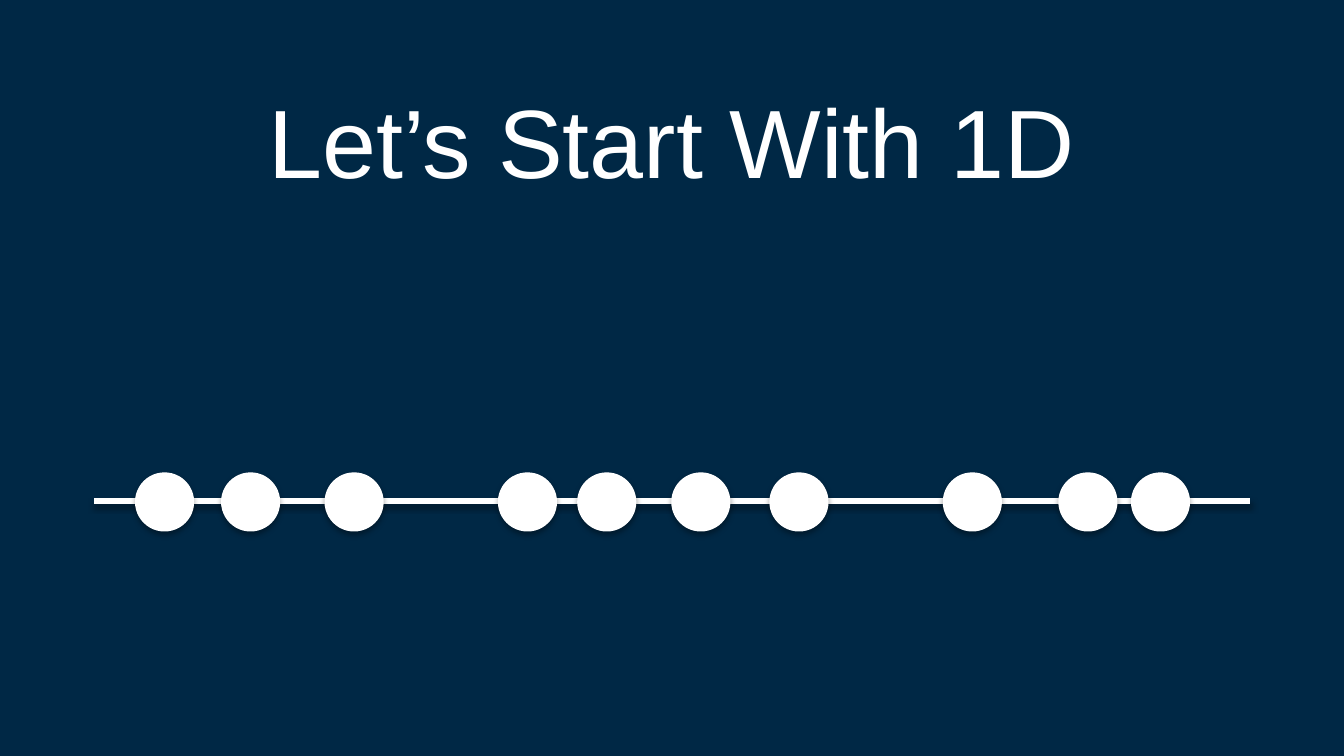
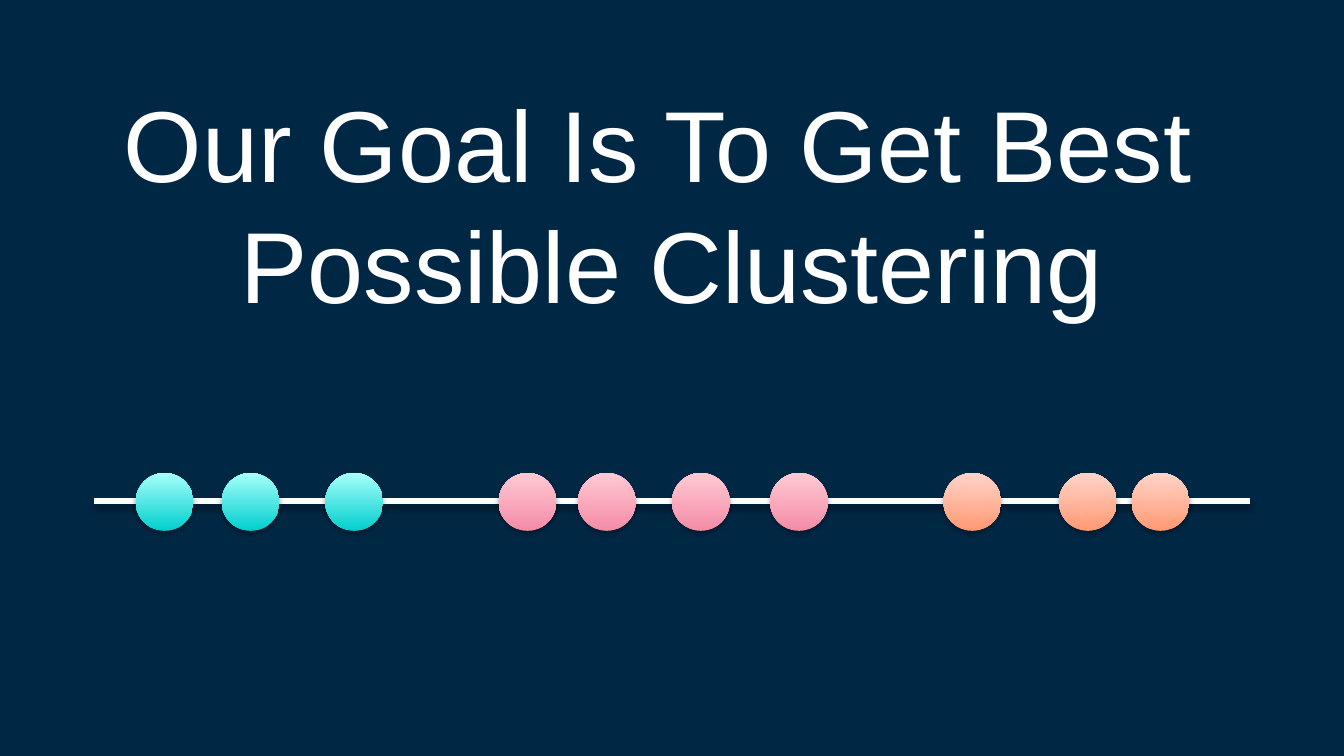
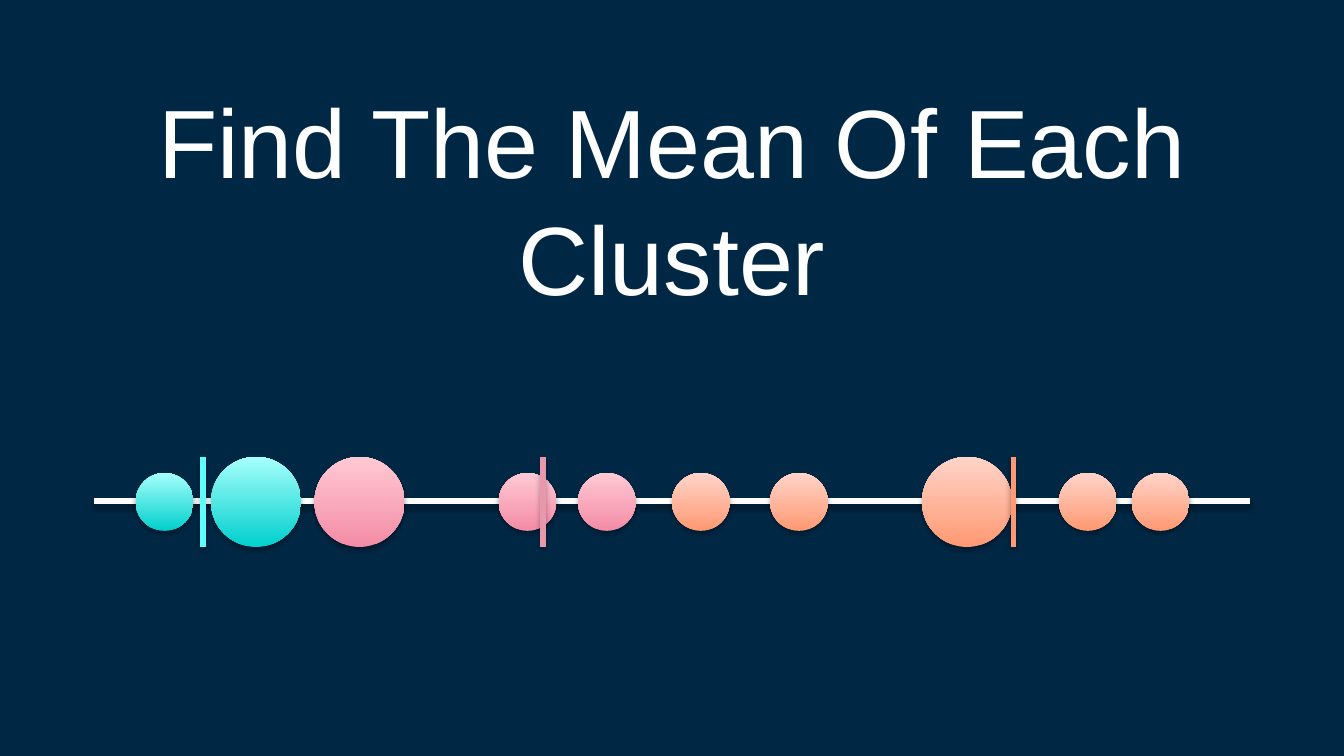
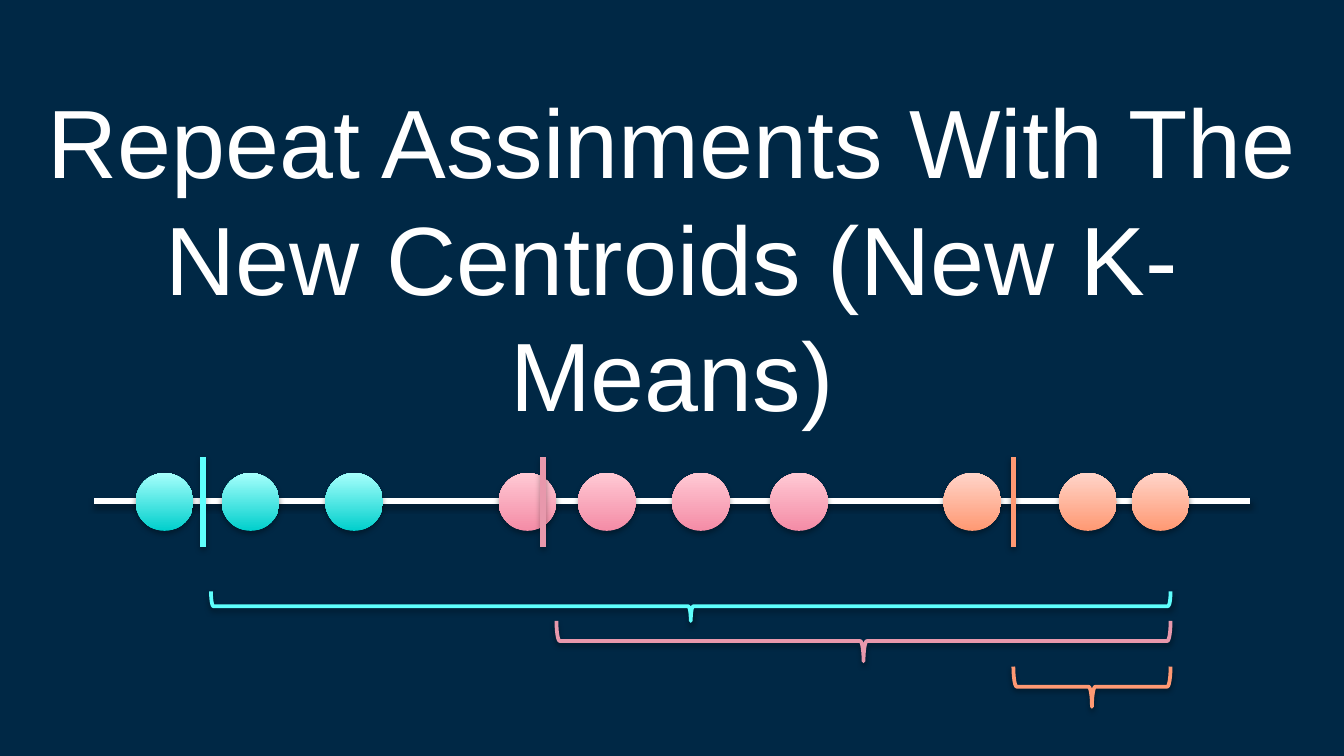
from dataclasses import dataclass

import lxml.etree
import pptx
import pptx.dml.color
import pptx.enum.shapes
import pptx.enum.text
import pptx.oxml.ns
import pptx.util

Inches = pptx.util.Inches
Pt = pptx.util.Pt
SHAPE = pptx.enum.shapes.MSO_SHAPE
qn = pptx.oxml.ns.qn


@dataclass(frozen=True)
class Cluster:
    dark: str
    light: str
    accent: str


@dataclass(frozen=True)
class Theme:
    background: str = "002845"
    white: str = "FFFFFF"
    shadow: str = "000000"
    font: str = "Arial"
    title_size: int = 52
    large_title_size: int = 54
    dot_outline: float = 0.75
    line_width: int = 3
    brace_width: int = 2
    teal: Cluster = Cluster("00CFCC", "A6FFFC", "5EFFFD")
    pink: Cluster = Cluster("F48CA6", "FFC9D4", "E898AC")
    orange: Cluster = Cluster("FF9973", "FFD4C9", "FF9973")


THEME = Theme()
TEAL, PINK, ORANGE = THEME.teal, THEME.pink, THEME.orange
DOT_LEFTS = [1.01, 1.65, 2.42, 3.71, 4.3, 5, 5.73, 7.02, 7.88, 8.42]
DOT_SIZE, BIG_DOT_SIZE = 0.43, 0.67
AXIS_Y, DOT_TOP, MEAN_TOP, MEAN_BOTTOM = 3.73, 3.52, 3.4, 4.07
MEANS = [(1.51, TEAL), (4.04, PINK), (7.54, ORANGE)]
BEST_CLUSTERS = [TEAL] * 3 + [PINK] * 4 + [ORANGE] * 3
FIRST_CLUSTERS = [TEAL] * 2 + [PINK] * 3 + [ORANGE] * 5
BRACE_RIGHT = 8.71


def rgb(value):
    return pptx.dml.color.RGBColor.from_string(value)


class Deck:
    def __init__(self, theme):
        self.theme = theme
        self.prs = pptx.Presentation()
        self.prs.slide_width = Inches(10)
        self.prs.slide_height = Inches(10) * 9 // 16
        self.s = None

    def slide(self, title, height, size=None):
        self.s = self.prs.slides.add_slide(self.prs.slide_layouts[6])
        fill = self.s.background.fill
        fill.solid()
        fill.fore_color.rgb = rgb(self.theme.background)
        self.title(title, height, size or self.theme.title_size)
        self.line(0.7, AXIS_Y, 9.3, AXIS_Y, self.theme.white)

    def title(self, text, height, size):
        sp = self.s.shapes.add_textbox(0, Inches(0.56), Inches(10), Inches(height))
        tf = sp.text_frame
        tf.word_wrap = True
        tf.auto_size = pptx.enum.text.MSO_AUTO_SIZE.SHAPE_TO_FIT_TEXT
        p = tf.paragraphs[0]
        p.text = text
        p.alignment = pptx.enum.text.PP_ALIGN.CENTER
        p.font.name = self.theme.font
        p.font.size = Pt(size)
        p.font.color.rgb = rgb(self.theme.white)

    def shadow(self, sp, opacity=35, distance=1.8):
        props = sp.element.spPr
        effects = lxml.etree.SubElement(props, qn("a:effectLst"))
        outer = lxml.etree.SubElement(
            effects, qn("a:outerShdw"), blurRad=str(Pt(3.1)),
            dist=str(Pt(distance)), dir="5400000", rotWithShape="0")
        color = lxml.etree.SubElement(outer, qn("a:srgbClr"), val=self.theme.shadow)
        lxml.etree.SubElement(color, qn("a:alpha"), val=str(opacity * 1000))

    def line(self, x1, y1, x2, y2, color):
        cxn = self.s.shapes.add_connector(
            pptx.enum.shapes.MSO_CONNECTOR.STRAIGHT,
            Inches(x1), Inches(y1), Inches(x2), Inches(y2))
        cxn.line.color.rgb = rgb(color)
        cxn.line.width = Pt(self.theme.line_width)
        self.shadow(cxn)

    def dot(self, left, top, size, cluster):
        sp = self.s.shapes.add_shape(
            SHAPE.OVAL, Inches(left), Inches(top), Inches(size), Inches(size))
        if cluster:
            sp.fill.gradient()
            sp.fill.gradient_angle = 90
            for stop, color in zip(sp.fill.gradient_stops, (cluster.dark, cluster.light)):
                stop.color.rgb = rgb(color)
            sp.line.fill.background()
        else:
            sp.fill.solid()
            sp.fill.fore_color.rgb = rgb(self.theme.white)
            sp.line.color.rgb = rgb(self.theme.white)
            sp.line.width = Pt(self.theme.dot_outline)
        self.shadow(sp)

    def dots(self, clusters, enlarged=None):
        enlarged = enlarged or {}
        for i, (left, cluster) in enumerate(zip(DOT_LEFTS, clusters)):
            if i in enlarged:
                self.dot(enlarged[i], MEAN_TOP, BIG_DOT_SIZE, cluster)
            else:
                self.dot(left, DOT_TOP, DOT_SIZE, cluster)

    def means(self):
        for x, cluster in MEANS:
            self.line(x, MEAN_TOP, x, MEAN_BOTTOM, cluster.accent)

    def brace(self, left, top, depth, color, flipped):
        span = BRACE_RIGHT - left
        sp = self.s.shapes.add_shape(
            SHAPE.RIGHT_BRACE,
            Inches(left + (span - depth) / 2), Inches(top + (depth - span) / 2),
            Inches(depth), Inches(span))
        sp.rotation = 90
        if flipped:
            sp.element.spPr.find(qn("a:xfrm")).set("flipV", "1")
        sp.fill.background()
        sp.line.color.rgb = rgb(color)
        sp.line.width = Pt(self.theme.brace_width)
        self.shadow(sp, opacity=38, distance=1.6)


def main():
    deck = Deck(THEME)

    deck.slide("Let’s Start With 1D", 0.98)
    deck.dots([None] * len(DOT_LEFTS))

    deck.slide("Our Goal Is To Get Best \vPossible Clustering", 1.92,
               THEME.large_title_size)
    deck.dots(BEST_CLUSTERS)

    deck.slide("Find The Mean Of Each Cluster", 0.98)
    deck.dots(FIRST_CLUSTERS, enlarged={1: 1.57, 2: 2.34, 7: 6.86})
    deck.means()

    deck.slide("Repeat Assinments With The New Centroids (New K-Means)", 2.73)
    deck.dots(BEST_CLUSTERS)
    deck.means()
    deck.brace(1.57, 4.4, 0.22, TEAL.accent, True)
    deck.brace(4.14, 4.62, 0.3, PINK.accent, False)
    deck.brace(7.54, 4.96, 0.3, ORANGE.accent, True)

    deck.prs.save("out.pptx")


if __name__ == "__main__":
    main()
